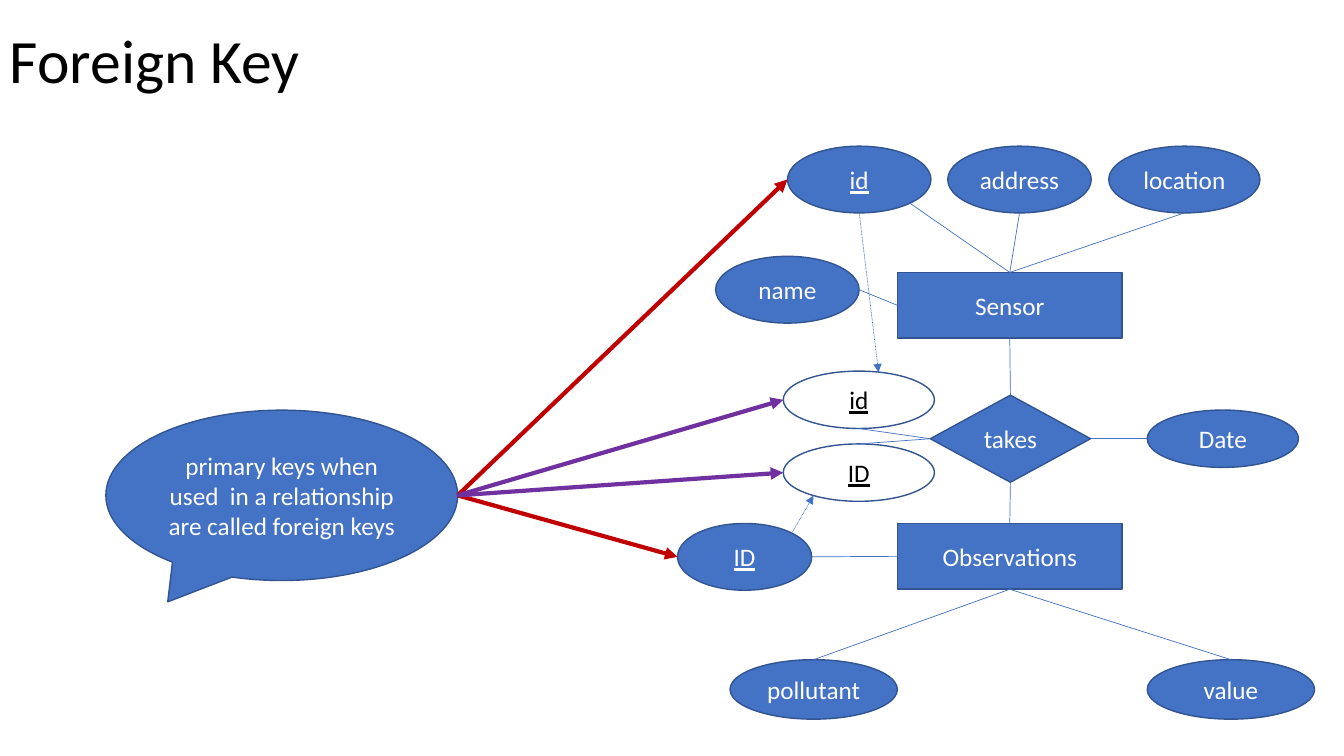
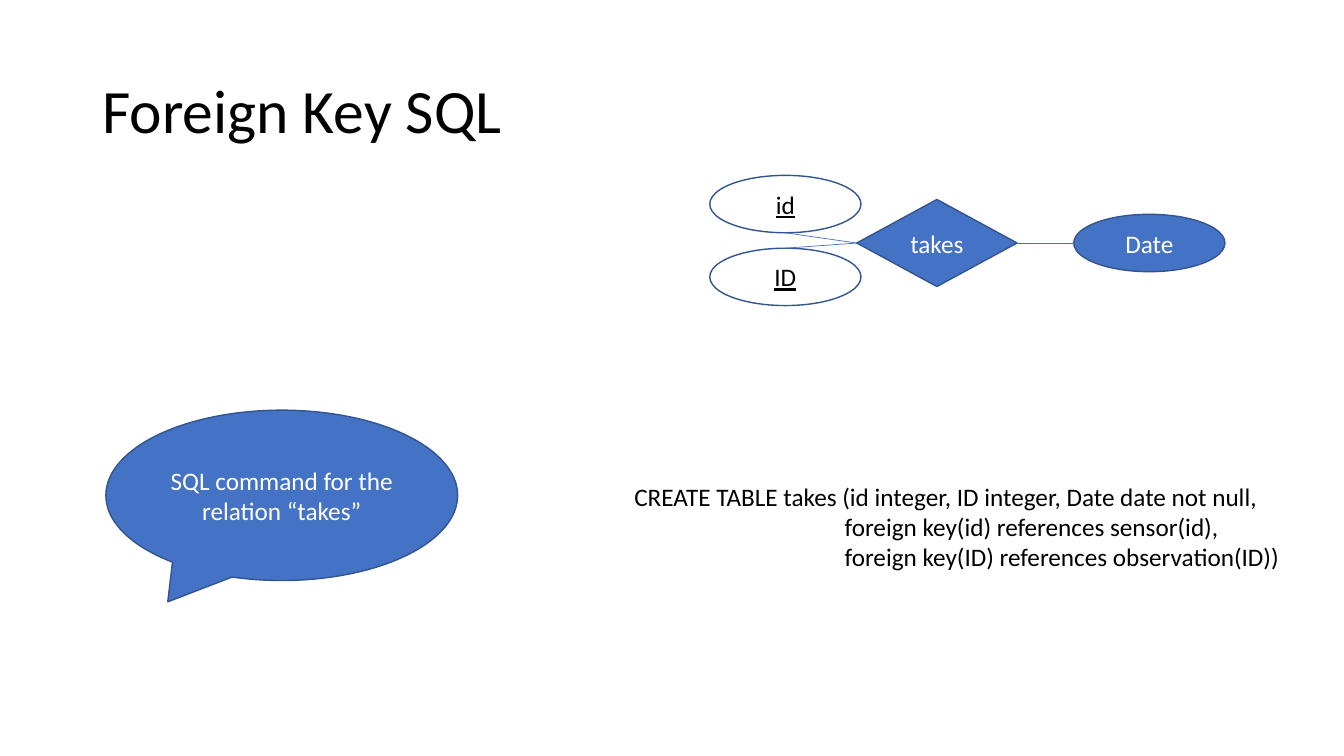
from lxml import etree
from pptx import Presentation
from pptx.dml.color import RGBColor
from pptx.enum.dml import MSO_LINE
from pptx.enum.shapes import MSO_CONNECTOR, MSO_SHAPE
from pptx.enum.text import MSO_ANCHOR, PP_ALIGN
from pptx.oxml.ns import qn
from pptx.util import Pt

ELLIPSE, DIAMOND = MSO_SHAPE.OVAL, MSO_SHAPE.DIAMOND
RECTANGLE, CALLOUT = MSO_SHAPE.RECTANGLE, MSO_SHAPE.OVAL_CALLOUT
STRAIGHT = MSO_CONNECTOR.STRAIGHT
DOTTED = MSO_LINE.ROUND_DOT
MIDDLE, TOP = MSO_ANCHOR.MIDDLE, MSO_ANCHOR.TOP
LEFT, CENTER = PP_ALIGN.LEFT, PP_ALIGN.CENTER

FONT = "Calibri"
COLORS = {
    "blue": "4472C4",
    "outline": "325491",
    "red": "C00000",
    "purple": "7030A0",
    "white": "FFFFFF",
    "black": "000000",
}
# Points on a shape's edge, as fractions of its width and height
SITES = {
    "top": (0.5, 0),
    "left": (0, 0.5),
    "bottom": (0.5, 1),
    "right": (1, 0.5),
    "top right": (0.85, 0.15),
    "bottom right": (0.85, 0.85),
    "bottom left": (0.2, 0.9),
    "upper edge": (0.63, 0.02),
}
CALLOUT_BOX = (75.6, 293, 251.3, 121.7)
CODE_INDENT = " " * 37
SQL = [
    "CREATE TABLE takes (id integer, ID integer, Date date not null,",
    CODE_INDENT + "foreign key(id) references sensor(id),",
    CODE_INDENT + "foreign key(ID) references observation(ID))",
]


def rgb(name):
    return RGBColor.from_string(COLORS[name])


def write(frame, lines, size=18, color="black", align=LEFT, anchor=TOP,
          underline=None, spacing=None, wrap=True):
    frame.word_wrap = wrap
    frame.vertical_anchor = anchor
    for index, line in enumerate(lines):
        para = frame.add_paragraph() if index else frame.paragraphs[0]
        para.alignment = align
        para.line_spacing = spacing
        span = para.add_run()
        span.text = line
        span.font.name = FONT
        span.font.size = Pt(size)
        span.font.color.rgb = rgb(color)
        span.font.underline = underline


def add_text(page, box, lines, **style):
    frame = page.shapes.add_textbox(*map(Pt, box)).text_frame
    write(frame, lines, **style)


def add_title(page, left, top, text):
    add_text(page, (left, top, 828, 104.4), [text],
             size=44, anchor=MIDDLE, spacing=0.9)


def add_node(page, kind, box, text, fill="blue", color="white", underline=None):
    node = page.shapes.add_shape(kind, *map(Pt, box))
    node.shadow.inherit = False
    node.fill.solid()
    node.fill.fore_color.rgb = rgb(fill)
    node.line.color.rgb = rgb("outline")
    node.line.width = Pt(1)
    write(node.text_frame, [text], color=color, align=CENTER,
          anchor=MIDDLE, underline=underline)
    return node


def add_callout(page, box, text):
    callout = add_node(page, CALLOUT, box, text)
    callout.adjustments[0] = -0.324
    callout.adjustments[1] = 0.625
    return callout


def site_of(node, site):
    across, down = SITES[site]
    return (int(node.left + node.width * across),
            int(node.top + node.height * down))


def link(page, start, start_site, end, end_site,
         color="blue", width=0.5, dash=None, arrow=False):
    line = page.shapes.add_connector(
        STRAIGHT, *site_of(start, start_site), *site_of(end, end_site))
    line.line.color.rgb = rgb(color)
    line.line.width = Pt(width)
    if dash:
        line.line.dash_style = dash
    if arrow:
        outline = line.line._get_or_add_ln()
        etree.SubElement(outline, qn("a:tailEnd"), type="triangle")
    etree.SubElement(line._element.spPr, qn("a:effectLst"))


def add_relation(page, left, top):
    """Draw the takes relation with its two foreign keys and its date."""
    size = (108, 41)
    keys = [
        add_node(page, ELLIPSE, (left, top + step * 52, *size), name,
                 fill="white", color="black", underline=True)
        for step, name in enumerate(["id", "ID"])
    ]
    takes = add_node(page, DIAMOND, (left + 105, top + 17.2, 114.5, 62.2), "takes")
    date = add_node(page, ELLIPSE, (left + 260, top + 27.8, *size), "Date")
    link(page, takes, "right", date, "left")
    for key, site in zip(keys, ["bottom", "top"]):
        link(page, takes, "left", key, site)
    return takes, *keys


def add_sensor_model(page, left, top):
    """Draw both entities and the relation; return the four key nodes."""
    nodes = {}
    for name, kind, across, down, width, height in [
        ("Sensor", RECTANGLE, 157, 90.2, 160.6, 47),
        ("Observations", RECTANGLE, 157, 269.5, 160.6, 47),
        ("id", ELLIPSE, 78.5, 0, 102.5, 47.7),
        ("address", ELLIPSE, 193, 0, 102.5, 47.7),
        ("location", ELLIPSE, 308, 0, 108, 47.7),
        ("name", ELLIPSE, 27.2, 78.7, 102.5, 47.7),
        ("ID", ELLIPSE, 0, 269.5, 95.8, 47.7),
        ("pollutant", ELLIPSE, 37.5, 366.8, 119.5, 42.5),
        ("value", ELLIPSE, 335.5, 366.8, 119.5, 42.5),
    ]:
        nodes[name] = add_node(
            page, kind, (left + across, top + down, width, height), name,
            underline=name in ("id", "ID") or None)
    takes, sensor_key, observation_key = add_relation(page, left + 75.5, top + 160.7)

    for name, site, entity, entity_site in [
        ("id", "bottom right", "Sensor", "top"),
        ("address", "bottom", "Sensor", "top"),
        ("location", "bottom", "Sensor", "top"),
        ("name", "right", "Sensor", "left"),
        ("ID", "right", "Observations", "left"),
        ("pollutant", "top", "Observations", "bottom"),
        ("value", "top", "Observations", "bottom"),
    ]:
        link(page, nodes[name], site, nodes[entity], entity_site)
    link(page, nodes["Sensor"], "bottom", takes, "top")
    link(page, takes, "bottom", nodes["Observations"], "top")
    link(page, nodes["id"], "bottom", sensor_key, "upper edge",
         dash=DOTTED, arrow=True)
    link(page, nodes["ID"], "top right", observation_key, "bottom left",
         dash=DOTTED, arrow=True)
    return nodes["id"], nodes["ID"], sensor_key, observation_key


def build_key_slide(page):
    add_title(page, 0, -6.5, "Foreign Key")
    callout = add_callout(
        page, CALLOUT_BOX,
        "primary keys when used  in a relationship are called foreign keys")
    keys = add_sensor_model(page, 484, 104.4)
    for key, color in zip(keys, ["red", "red", "purple", "purple"]):
        link(page, callout, "right", key, "left", color=color, width=3, arrow=True)


def build_sql_slide(page):
    add_title(page, 66, 28.8, "Foreign Key SQL")
    add_callout(page, CALLOUT_BOX, "SQL command for the relation “takes”")
    add_relation(page, 507, 125.3)
    add_text(page, (446, 340, 483, 72.7), SQL, wrap=False)


def main():
    deck = Presentation()
    deck.slide_width, deck.slide_height = Pt(960), Pt(540)
    blank = deck.slide_layouts[6]
    for build in (build_key_slide, build_sql_slide):
        build(deck.slides.add_slide(blank))
    deck.save("out.pptx")


if __name__ == "__main__":
    main()
